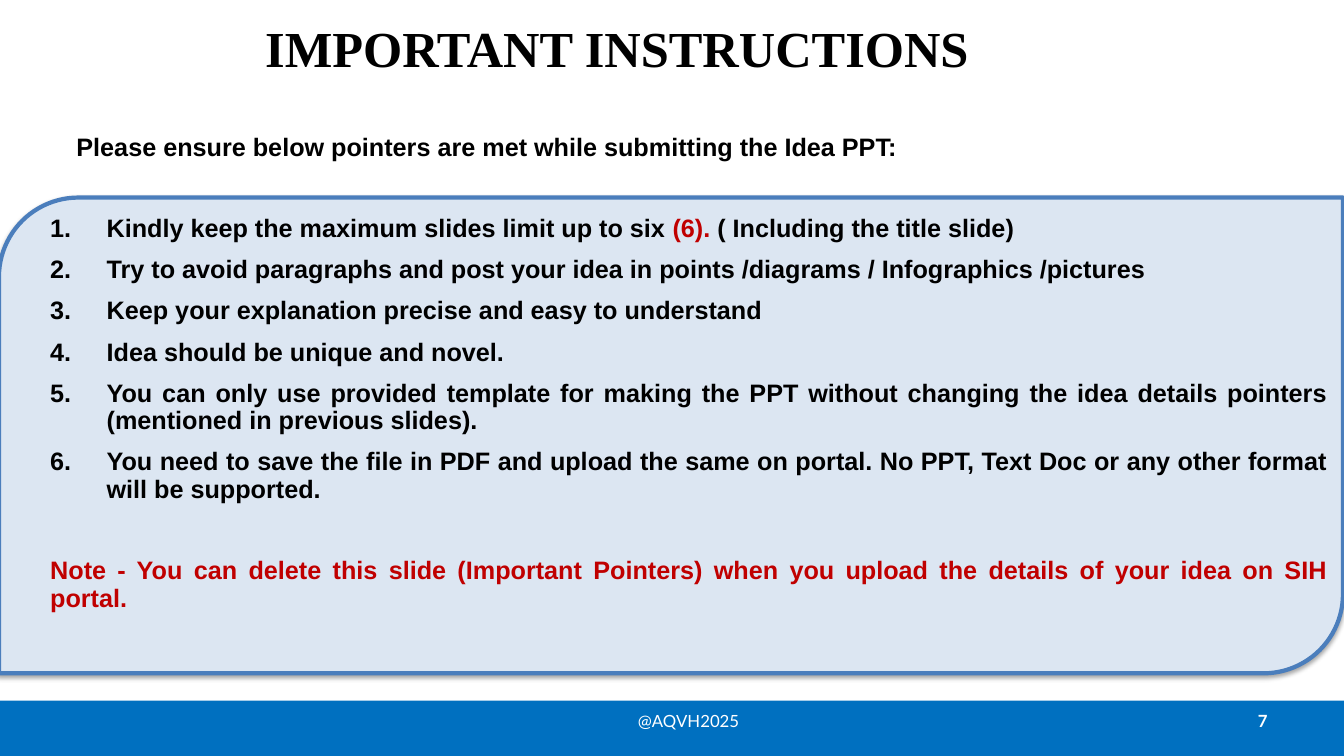
from lxml import etree
from pptx import Presentation
from pptx import util as u
from pptx.dml.color import RGBColor
from pptx.enum import shapes, text
from pptx.oxml import ns

# Content
TITLE = "IMPORTANT INSTRUCTIONS"
LEAD = "Please ensure below pointers are met while submitting the Idea PPT:"
BLACK, RED, WHITE, BLUE = "000000", "C00000", "FFFFFF", "0070C0"
RULES = [
    [("Kindly keep the maximum slides limit up to six ", BLACK), ("(6). ", RED),
     ("( Including the title slide)", BLACK)],
    [("Try to avoid paragraphs and post your idea in points /diagrams / Infographics /pictures", BLACK)],
    [("Keep your explanation precise and easy to understand", BLACK)],
    [("Idea should be unique and novel.", BLACK)],
    [("You can only use provided template for making the PPT without changing "
      "the idea details pointers (mentioned in previous slides).", BLACK)],
    [("You need to save the file in PDF and upload the same on portal. "
      "No PPT, Text Doc or any other format will be supported.", BLACK)],
]
NOTE = ("Note - You can delete this slide (Important Pointers) when you upload "
        "the details of your idea on SIH portal.")
FOOTER, PAGE_NUMBER = "@AQVH2025", "7"

LEFT, CENTER = text.PP_ALIGN.LEFT, text.PP_ALIGN.CENTER
RIGHT, JUSTIFY = text.PP_ALIGN.RIGHT, text.PP_ALIGN.JUSTIFY
WIDTH, HEIGHT, FOOTER_TOP = 13.33, 7.5, 6.95
NUMBER_INDENT = 0.56


def color(value):
    return RGBColor.from_string(value)


def add_panel(kind, place, fill, shadow, line=None):
    panel = page.shapes.add_shape(kind, *map(u.Inches, place))
    panel.fill.solid()
    panel.fill.fore_color.rgb = color(fill)
    if line:
        panel.line.color.rgb = color(line)
        panel.line.width = u.Pt(3)
    else:
        panel.line.fill.background()
    panel.shadow.inherit = False
    tint, blur, distance = shadow
    effects = panel._element.spPr.find(ns.qn("a:effectLst"))
    outer = etree.SubElement(effects, ns.qn("a:outerShdw"), blurRad=str(u.Pt(blur)),
                             dist=str(u.Pt(distance)), dir="5400000", rotWithShape="0")
    shade = etree.SubElement(outer, ns.qn("a:srgbClr"), val=tint)
    etree.SubElement(shade, ns.qn("a:alpha"), val="35000")


def add_box(place, anchor=text.MSO_ANCHOR.TOP):
    frame = page.shapes.add_textbox(*map(u.Inches, place)).text_frame
    frame.word_wrap = True
    frame.vertical_anchor = anchor
    return frame


def write(para, spans, size, face, align, bold=True, spacing=None, before=0, numbered=False):
    if numbered:
        props = para._p.get_or_add_pPr()
        props.set("marL", str(u.Inches(NUMBER_INDENT)))
        props.set("indent", str(-u.Inches(NUMBER_INDENT)))
        tint = etree.SubElement(props, ns.qn("a:buClr"))
        etree.SubElement(tint, ns.qn("a:srgbClr"), val=BLACK)
        etree.SubElement(props, ns.qn("a:buFont"), typeface="+mj-lt")
        etree.SubElement(props, ns.qn("a:buAutoNum"), type="arabicPeriod")
    para.alignment = align
    para.line_spacing = spacing
    para.space_before = u.Pt(before)
    para.font.size, para.font.name, para.font.bold = u.Pt(size), face, bold
    para.font.color.rgb = color(spans[0][1])
    for words, tint in spans:
        span = para.add_run()
        span.text = words
        if tint != spans[0][1]:
            span.font.color.rgb = color(tint)


deck = Presentation()
deck.slide_width, deck.slide_height = u.Inches(WIDTH), u.Inches(HEIGHT)
page = deck.slides.add_slide(deck.slide_layouts[6])

# Footer
add_panel(shapes.MSO_SHAPE.RECTANGLE, (0, FOOTER_TOP, WIDTH, HEIGHT - FOOTER_TOP),
          BLUE, ("808080", 0, 1.8))
for words, left, width, align, bold in [(PAGE_NUMBER, 9.56, 3.11, RIGHT, True),
                                        (FOOTER, 5.08, 3.5, CENTER, False)]:
    frame = add_box((left, FOOTER_TOP, width, 0.4), text.MSO_ANCHOR.MIDDLE)
    write(frame.paragraphs[0], [(words, WHITE)], 12, "Lato", align, bold)

# Numbered rules and closing note
add_panel(shapes.MSO_SHAPE.ROUND_2_DIAG_RECTANGLE, (-0.01, 1.96, WIDTH, 4.72),
          "DCE6F2", ("000000", 3.1, 1.8), "4B7EBC")
frame = add_box((0.4, 2.09, 12.87, 4.45))
for index, spans in enumerate(RULES):
    para = frame.add_paragraph() if index else frame.paragraphs[0]
    write(para, spans, 18, "Arial", JUSTIFY, spacing=0.9,
          before=10 if index else 0, numbered=True)
write(frame.add_paragraph(), [(NOTE, RED)], 18, "Arial", JUSTIFY, spacing=0.9, before=39)

# Title and lead-in
write(add_box((1.52, 0.12, 9.2, 0.71)).paragraphs[0], [(TITLE, BLACK)],
      36, "Times New Roman", CENTER)
write(add_box((0.66, 1.29, 10.45, 0.37)).paragraphs[0], [(LEAD, BLACK)],
      18, "Arial", JUSTIFY, spacing=0.9)

deck.save("out.pptx")
